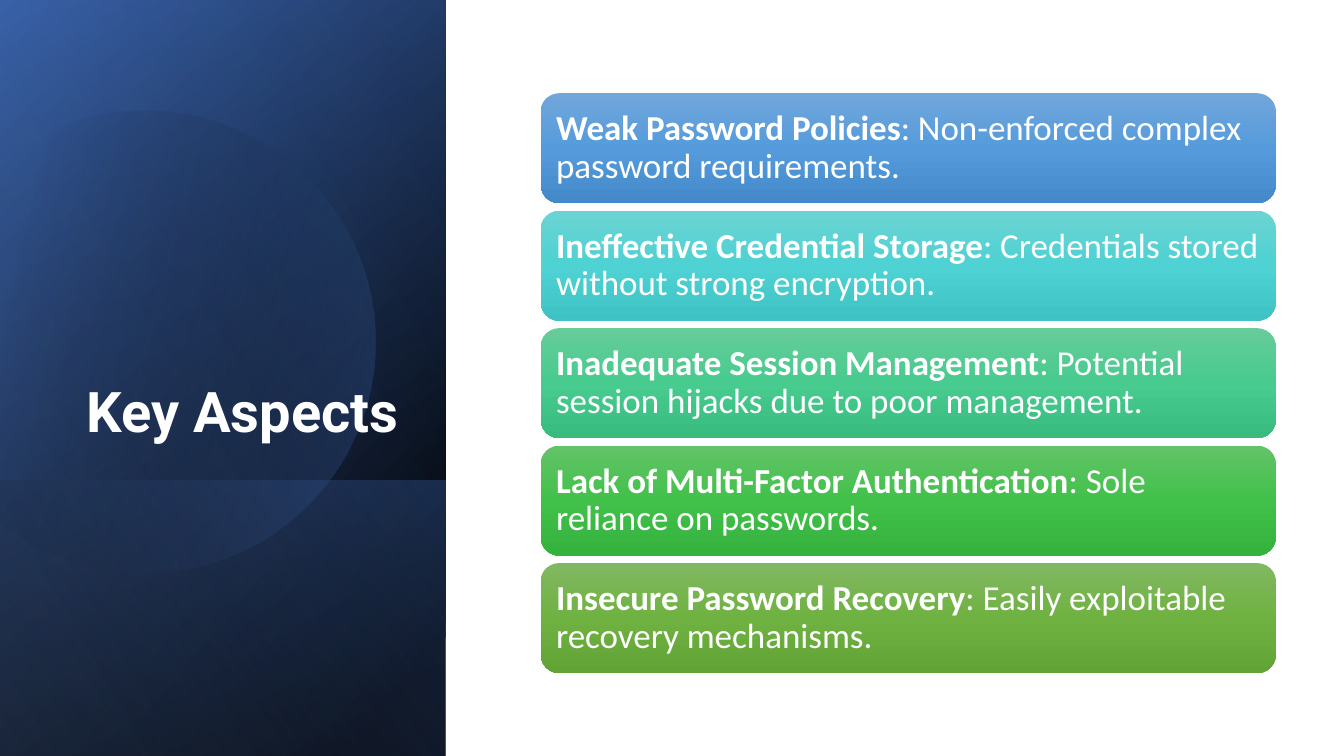
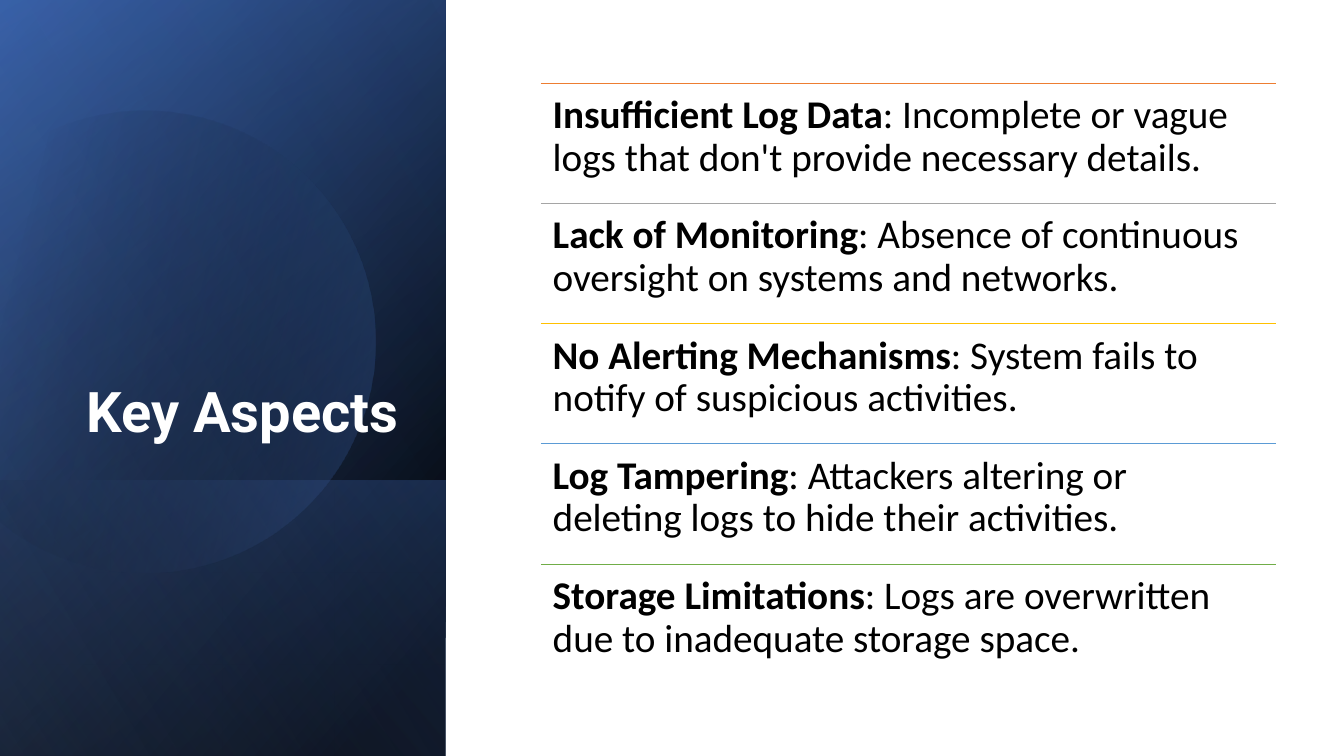
from lxml import etree
from pptx import Presentation
from pptx.dml.color import RGBColor
from pptx.enum.shapes import MSO_CONNECTOR as CONNECTOR, MSO_SHAPE as SHAPE
from pptx.enum.text import MSO_ANCHOR as ANCHOR, MSO_AUTO_SIZE as AUTO_SIZE, PP_ALIGN as ALIGN
from pptx.oxml.ns import qn
from pptx.util import Cm, Pt

TITLE_FONT, BODY_FONT = "Roboto", "Calibri"
WHITE, BLACK = "FFFFFF", "000000"
BLUE, DARK_BLUE, PALE_BLUE = "4472C4", "2F5597", "8FAADC"
PANEL_WIDTH, SLIDE_WIDTH, SLIDE_HEIGHT = 11.23, 33.87, 19.05
LIST_LEFT, LIST_WIDTH = 13.63, 18.52
LINE_SPACING = 0.9

PANEL_LAYERS = [
    (0, SLIDE_HEIGHT, 50, [(8, BLACK, 100), (100, DARK_BLUE, 100)]),
    (0, SLIDE_HEIGHT, 30, [(0, BLACK, 0), (99, BLUE, 46)]),
    (12.11, 6.96, 130, [(2, BLUE, 29), (100, BLACK, 30)]),
]
PANEL_SHEEN = (0, SLIDE_HEIGHT, 120, [(0, BLACK, 0), (99, PALE_BLUE, 11)])
DISC_STOPS = [(29, BLACK, 0), (100, BLUE, 43)]

PASSWORD_CARDS = [
    ("Weak Password Policies", "Non-enforced complex password requirements.",
     ("71A6DB", "559BDB", "448ACA")),
    ("Ineffective Credential Storage", "Credentials stored without strong encryption.",
     ("6CD3D3", "4ED2D3", "3EC2C3")),
    ("Inadequate Session Management", "Potential session hijacks due to poor management.",
     ("67CC9A", "47CB8E", "39BB7F")),
    ("Lack of Multi-Factor Authentication", "Sole reliance on passwords.",
     ("63C368", "42C14A", "34B23D")),
    ("Insecure Password Recovery", "Easily exploitable recovery mechanisms.",
     ("81B861", "6FB242", "62A336")),
]
LOGGING_ROWS = [
    ("Insufficient Log Data", "Incomplete or vague logs that don't provide necessary details.",
     "ED7D31"),
    ("Lack of Monitoring", "Absence of continuous oversight on systems and networks.", "A5A5A5"),
    ("No Alerting Mechanisms", "System fails to notify of suspicious activities.", "FFC000"),
    ("Log Tampering", "Attackers altering or deleting logs to hide their activities.", "5B9BD5"),
    ("Storage Limitations", "Logs are overwritten due to inadequate storage space.", "70AD47"),
]


def colour(value):
    return RGBColor.from_string(value)


def apply(target, values):
    for name, value in values.items():
        setattr(target, name, value)


def set_font(run, name, size, fill, bold):
    apply(run.font, {"name": name, "size": Pt(size), "bold": bold})
    run.font.color.rgb = colour(fill)


def set_gradient(shape, stops, angle):
    shape.shadow.inherit = False
    shape.line.fill.background()
    shape.fill.background()
    properties = shape._element.spPr
    gradient = etree.Element(qn("a:gradFill"), rotWithShape="1")
    stop_list = etree.SubElement(gradient, qn("a:gsLst"))
    for position, value, opacity in stops:
        stop = etree.SubElement(stop_list, qn("a:gs"), pos=str(position * 1000))
        stop_colour = etree.SubElement(stop, qn("a:srgbClr"), val=value)
        if opacity < 100:
            etree.SubElement(stop_colour, qn("a:alpha"), val=str(opacity * 1000))
    etree.SubElement(gradient, qn("a:lin"), ang=str(angle * 60000), scaled="0")
    properties.replace(properties.find(qn("a:noFill")), gradient)


def add_panel_layer(slide, top, height, angle, stops):
    left = (PANEL_WIDTH - height) / 2
    frame_top = top + (height - PANEL_WIDTH) / 2
    layer = slide.shapes.add_shape(
        SHAPE.RECTANGLE, Cm(left), Cm(frame_top), Cm(height), Cm(PANEL_WIDTH))
    layer.rotation = 90
    layer._element.spPr.find(qn("a:xfrm")).set("flipH", "1")
    set_gradient(layer, stops, angle)


def add_disc(slide, centre_x=3.65, centre_y=8.61, radius=5.82, half_arc=134, tilt=16):
    disc = slide.shapes.add_shape(
        SHAPE.CHORD, Cm(centre_x - radius), Cm(centre_y - radius), Cm(2 * radius), Cm(2 * radius))
    disc.rotation = 360 - tilt
    for index, degree in enumerate((360 - half_arc, half_arc)):
        disc.adjustments[index] = (degree + tilt) * 0.6
    set_gradient(disc, DISC_STOPS, 30)


def add_title(slide, text):
    title = slide.shapes.title
    slide.shapes._spTree.append(title._element)
    apply(title, {"left": Cm(1.63), "top": Cm(4.67), "width": Cm(8.66), "height": Cm(6.65)})
    apply(title.text_frame, {"word_wrap": True, "auto_size": AUTO_SIZE.NONE,
                             "vertical_anchor": ANCHOR.BOTTOM})
    paragraph = title.text_frame.paragraphs[0]
    apply(paragraph, {"alignment": ALIGN.RIGHT, "line_spacing": LINE_SPACING})
    run = paragraph.add_run()
    run.text = text
    set_font(run, TITLE_FONT, 40, WHITE, True)


def add_panel_slide(presentation, title):
    slide = presentation.slides.add_slide(presentation.slide_layouts[5])
    for layer in PANEL_LAYERS:
        add_panel_layer(slide, *layer)
    add_disc(slide)
    add_panel_layer(slide, *PANEL_SHEEN)
    add_title(slide, title)
    return slide


def write_point(shape, heading, detail, size, fill, margin, anchor):
    frame = shape.text_frame
    apply(frame, {"word_wrap": True, "vertical_anchor": anchor})
    apply(frame, {f"margin_{side}": Cm(margin) for side in ("left", "top", "right", "bottom")})
    paragraph = frame.paragraphs[0]
    apply(paragraph, {"alignment": ALIGN.LEFT, "line_spacing": LINE_SPACING})
    for text, bold in ((heading, True), (f": {detail}", False)):
        run = paragraph.add_run()
        run.text = text
        set_font(run, BODY_FONT, size, fill, bold)


def add_card(slide, top, heading, detail, shades):
    card = slide.shapes.add_shape(
        SHAPE.ROUNDED_RECTANGLE, Cm(LIST_LEFT), Cm(top), Cm(LIST_WIDTH), Cm(2.77))
    set_gradient(card, [(50 * index, shade, 100) for index, shade in enumerate(shades)], 90)
    write_point(card, heading, detail, 25, WHITE, 0.25, ANCHOR.MIDDLE)


def add_ruled_row(slide, top, heading, detail, rule_colour):
    rule = slide.shapes.add_connector(
        CONNECTOR.STRAIGHT, Cm(LIST_LEFT), Cm(top), Cm(LIST_LEFT + LIST_WIDTH), Cm(top))
    rule.line.color.rgb = colour(rule_colour)
    rule.line.width = Pt(0.5)
    etree.SubElement(rule._element.spPr, qn("a:effectLst"))
    box = slide.shapes.add_textbox(Cm(LIST_LEFT), Cm(top), Cm(LIST_WIDTH), Cm(3.03))
    write_point(box, heading, detail, 28, BLACK, 0.3, ANCHOR.TOP)


def add_list(slide, add_item, items, top, pitch):
    for index, item in enumerate(items):
        add_item(slide, top + index * pitch, *item)


def main():
    presentation = Presentation()
    apply(presentation, {"slide_width": Cm(SLIDE_WIDTH), "slide_height": Cm(SLIDE_HEIGHT)})
    passwords = add_panel_slide(presentation, "Key Aspects")
    add_list(passwords, add_card, PASSWORD_CARDS, 2.35, 2.96)
    logging = add_panel_slide(presentation, "Key Aspects")
    add_list(logging, add_ruled_row, LOGGING_ROWS, 2.09, 3.03)
    presentation.save("out.pptx")


if __name__ == "__main__":
    main()
